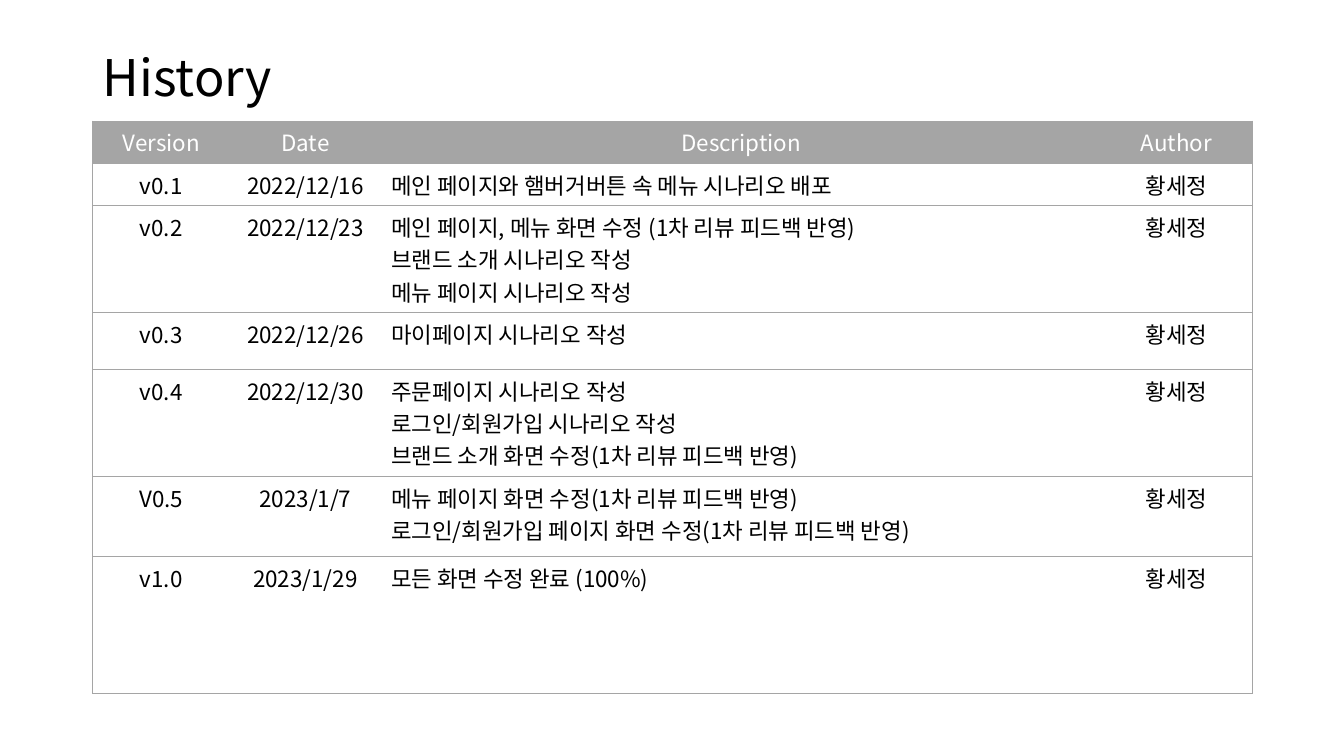
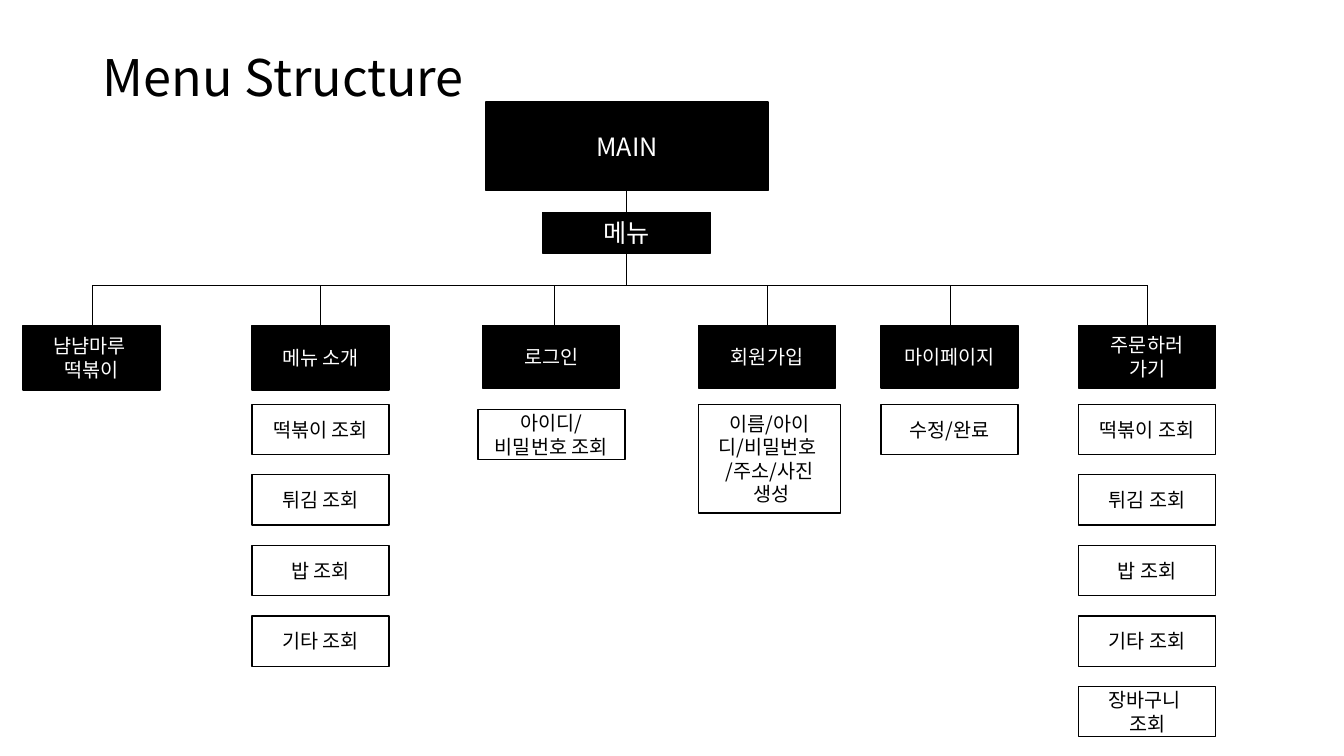
"""Builds the version history and menu structure slides of a screen plan."""
import pptx
import pptx.dml.color
import pptx.enum.shapes
import pptx.enum.text
import pptx.oxml
import pptx.oxml.ns
import pptx.util
from lxml import etree

BLACK, WHITE, GRAY = "000000", "FFFFFF", "A5A5A5"
FONT = "Noto Sans CJK KR"
LEFT = pptx.enum.text.PP_ALIGN.LEFT
CENTER = pptx.enum.text.PP_ALIGN.CENTER
MIDDLE = pptx.enum.text.MSO_ANCHOR.MIDDLE
qn = pptx.oxml.ns.qn


def color(value):
    return pptx.dml.color.RGBColor.from_string(value)


def write(frame, text, size=14, ink=BLACK, align=CENTER, spacing=None):
    frame.word_wrap = True
    for index, line in enumerate(text.split("\n")):
        paragraph = frame.paragraphs[0] if index == 0 else frame.add_paragraph()
        paragraph.alignment = align
        paragraph.line_spacing = spacing
        run = paragraph.add_run()
        run.text = line
        run.font.size = pptx.util.Pt(size)
        run.font.name = FONT
        run.font.color.rgb = color(ink)
        etree.SubElement(run.font._element, qn("a:ea"), typeface=FONT)


deck = pptx.Presentation()
deck.slide_width = pptx.util.Inches(13.33)
deck.slide_height = pptx.util.Inches(7.5)
COL = deck.slide_width / 100
ROW = deck.slide_height / 100

layout = deck.slide_layouts[5]
heading = layout.placeholders[0]
heading.left, heading.top = int(6.9 * COL), int(5.33 * ROW)
heading.width, heading.height = int(86.25 * COL), int(10.67 * ROW)
heading.text_frame.vertical_anchor = MIDDLE

slides = []
for title in ("History", "Menu Structure"):
    slide = deck.slides.add_slide(layout)
    write(slide.shapes.title.text_frame, title, size=36, align=LEFT, spacing=0.9)
    slides.append(slide)
history_slide, menu_slide = slides

AUTHOR = "황세정"
history = [
    (5.6, "Version", "Date", "Description", "Author"),
    (5.6, "v0.1", "2022/12/16", "메인 페이지와 햄버거버튼 속 메뉴 시나리오 배포", AUTHOR),
    (14.15, "v0.2", "2022/12/23",
     "메인 페이지, 메뉴 화면 수정 (1차 리뷰 피드백 반영)\n"
     "브랜드 소개 시나리오 작성\n메뉴 페이지 시나리오 작성", AUTHOR),
    (7.5, "v0.3", "2022/12/26", "마이페이지 시나리오 작성", AUTHOR),
    (14.15, "v0.4", "2022/12/30",
     "주문페이지 시나리오 작성\n로그인/회원가입 시나리오 작성\n"
     "브랜드 소개 화면 수정(1차 리뷰 피드백 반영)", AUTHOR),
    (10.6, "V0.5", "2023/1/7",
     "메뉴 페이지 화면 수정(1차 리뷰 피드백 반영)\n"
     "로그인/회원가입 페이지 화면 수정(1차 리뷰 피드백 반영)", AUTHOR),
    (18.1, "v1.0", "2023/1/29", "모든 화면 수정 완료 (100%)", AUTHOR),
]
column_shares = (10.2, 11.25, 53.6, 11.2)
history_frame = history_slide.shapes.add_table(
    len(history), len(column_shares), int(6.9 * COL), int(16 * ROW),
    int(sum(column_shares) * COL), int(sum(entry[0] for entry in history) * ROW))
versions = history_frame.table
versions.horz_banding = False
versions.first_row = True
style_id = versions._tbl.tblPr.find(qn("a:tableStyleId"))
style_id.text = "{2D5ABB26-0587-4C30-8999-92F81FD0307C}"
for number, share in enumerate(column_shares):
    versions.columns[number].width = int(share * COL)

for row_number, (height, *texts) in enumerate(history):
    versions.rows[row_number].height = int(height * ROW)
    is_header = row_number == 0
    for number, text in enumerate(texts):
        cell = versions.cell(row_number, number)
        sides = ["lnT", "lnB"]
        if number == len(texts) - 1:
            sides.insert(0, "lnR")
        if number == 0:
            sides.insert(0, "lnL")
        for side in sides:
            edge = etree.SubElement(cell._tc.get_or_add_tcPr(), qn(f"a:{side}"), w="6350")
            paint = etree.SubElement(edge, qn("a:solidFill"))
            etree.SubElement(paint, qn("a:srgbClr"), val=GRAY)
        cell.fill.solid()
        cell.fill.fore_color.rgb = color(GRAY if is_header else WHITE)
        is_description = number == 2 and not is_header
        write(cell.text_frame, text, size=16, ink=WHITE if is_header else BLACK,
              align=LEFT if is_description else CENTER)

BOX_WIDTH, CHILD_HEIGHT = 10.2, 6.67
HEAD_TOP, CHILD_TOP, CHILD_STEP = 43.07, 53.47, 9.33
TRUNK, BUS = 46.6, 37.73
dishes = ["떡볶이 조회", "튀김 조회", "밥 조회", "기타 조회"]
standard = (0, 0, BOX_WIDTH, CHILD_HEIGHT)
branches = [
    (1.72, 6.9, 8.53, "냠냠마루 \n떡볶이", [], standard),
    (18.75, 23.85, 8.53, "메뉴 소개", dishes, standard),
    (35.92, 41.25, 8.27, "로그인", ["아이디/\n비밀번호 조회"],
     (-0.37, 0.66, 10.95, CHILD_HEIGHT)),
    (51.98, 57.08, 8.27, "회원가입", ["이름/아이디/비밀번호 \n/주소/사진\n 생성"],
     (0, 0, 10.58, 14.4)),
    (65.55, 70.73, 8.27, "마이페이지", ["수정/완료"], standard),
    (80.25, 85.35, 8.27, "주문하러\n가기", dishes + ["장바구니 \n조회"], standard),
]
boxes = [
    (36.15, 13.47, 21, 11.73, "MAIN", 18, BLACK),
    (40.35, 28.13, 12.53, 5.33, "메뉴", 18, BLACK),
]
links = [
    (TRUNK, 25.2, TRUNK, 28.13),
    (TRUNK, 33.47, TRUNK, BUS),
    (branches[0][1], BUS, branches[-1][1], BUS),
]
for left, stem, head_height, name, children, (shift, drop, width, height) in branches:
    boxes.append((left, HEAD_TOP, BOX_WIDTH, head_height, name, 14, BLACK))
    links.append((stem, BUS, stem, HEAD_TOP))
    for order, child in enumerate(children):
        top = CHILD_TOP + drop + order * CHILD_STEP
        boxes.append((left + shift, top, width, height, child, 14, WHITE))

for left, top, width, height, text, size, fill in boxes:
    box = menu_slide.shapes.add_shape(
        pptx.enum.shapes.MSO_SHAPE.RECTANGLE,
        int(left * COL), int(top * ROW), int(width * COL), int(height * ROW))
    box.shadow.inherit = False
    box.fill.solid()
    box.fill.fore_color.rgb = color(fill)
    box.line.color.rgb = color(BLACK)
    box.line.width = pptx.util.Pt(1)
    box.text_frame.vertical_anchor = MIDDLE
    write(box.text_frame, text, size=size, ink=WHITE if fill == BLACK else BLACK)

for start_x, start_y, end_x, end_y in links:
    link = menu_slide.shapes.add_connector(
        pptx.enum.shapes.MSO_CONNECTOR.STRAIGHT,
        int(start_x * COL), int(start_y * ROW), int(end_x * COL), int(end_y * ROW))
    link.line.color.rgb = color(BLACK)
    link.line.width = pptx.util.Pt(0.5)
    etree.SubElement(link._element.spPr, qn("a:effectLst"))

deck.save("out.pptx")
